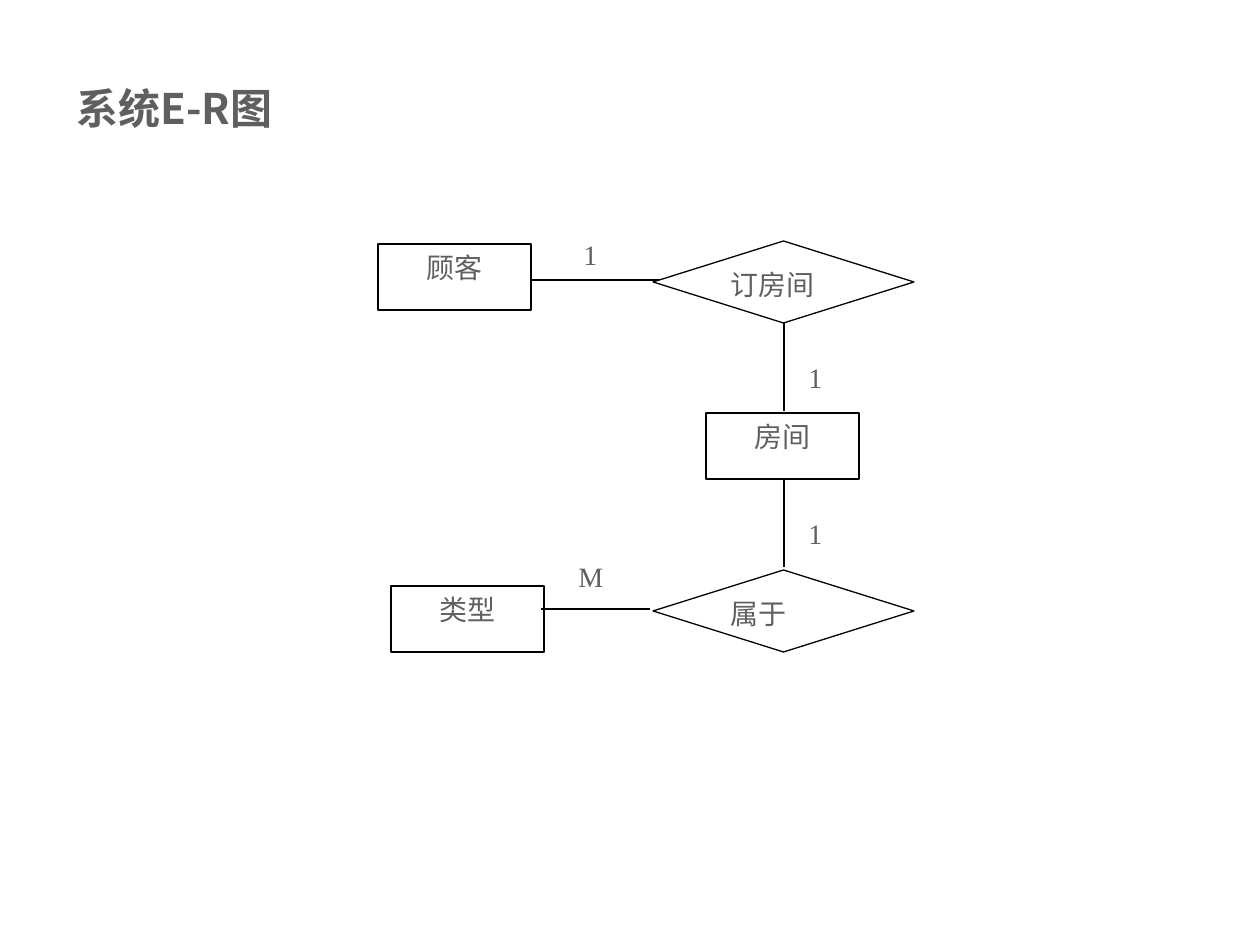
"""Build the hotel booking E-R diagram slide."""
import dataclasses

import pptx
import pptx.dml.color
import pptx.enum.shapes
import pptx.enum.text
import pptx.oxml
import pptx.oxml.ns
import pptx.util

SHAPE = pptx.enum.shapes.MSO_SHAPE
ALIGN = pptx.enum.text.PP_ALIGN
ANCHOR = pptx.enum.text.MSO_ANCHOR
GREY, BLACK, WHITE = "5F5F5F", "000000", "FFFFFF"
LATIN, HAN = "Times New Roman", "Noto Sans CJK SC"


@dataclasses.dataclass(frozen=True)
class Kind:
    form: int
    wide: int
    high: int
    align: int
    edge: bool = True


@dataclasses.dataclass(frozen=True)
class Node:
    kind: Kind
    text: str
    left: int
    top: int


@dataclasses.dataclass(frozen=True)
class Link:
    x1: int
    y1: int
    x2: int
    y2: int


ENTITY = Kind(SHAPE.RECTANGLE, 153, 66, ALIGN.CENTER)
BOND = Kind(SHAPE.DIAMOND, 261, 82, ALIGN.JUSTIFY)
LABEL = Kind(SHAPE.RECTANGLE, 66, 42, ALIGN.JUSTIFY, False)

BOXES = [
    Node(ENTITY, "顾客", 378, 244),
    Node(ENTITY, "房间", 706, 413),
    Node(ENTITY, "类型", 391, 586),
]
LINKS = [
    Link(530, 280, 660, 280),
    Link(784, 411, 784, 321),
    Link(784, 567, 784, 478),
    Link(541, 609, 650, 609),
]
BONDS = [
    Node(BOND, "订房间", 653, 241),
    Node(BOND, "属于", 653, 570),
]
LABELS = [
    Node(LABEL, "1", 571, 231),
    Node(LABEL, "1", 796, 354),
    Node(LABEL, "1", 796, 510),
    Node(LABEL, "M", 566, 553),
]


def px(size: int) -> int:
    return pptx.util.Inches(size / 126)


def tint(code: str) -> pptx.dml.color.RGBColor:
    return pptx.dml.color.RGBColor.from_string(code)


def write(frame, text: str, size: int, face: str, align: int, bold: bool = False) -> None:
    frame.text = text
    frame.word_wrap = True
    para = frame.paragraphs[0]
    para.alignment = align
    font = para.runs[0].font
    font.name, font.size, font.bold = face, pptx.util.Pt(size), bold
    font.color.rgb = tint(GREY)
    east = pptx.oxml.parse_xml(f'<a:ea {pptx.oxml.ns.nsdecls("a")} typeface="{HAN}"/>')
    props = para.runs[0]._r.get_or_add_rPr()
    props.find(pptx.oxml.ns.qn("a:latin")).addnext(east)


def stroke(line) -> None:
    line.color.rgb = tint(BLACK)
    line.width = pptx.util.Pt(0.75)


def draw_node(slide, node: Node) -> None:
    kind = node.kind
    shape = slide.shapes.add_shape(
        kind.form, px(node.left), px(node.top), px(kind.wide), px(kind.high))
    shape.shadow.inherit = False
    shape.fill.solid()
    shape.fill.fore_color.rgb = tint(WHITE)
    if kind.edge:
        stroke(shape.line)
    else:
        shape.line.fill.background()
    shape.text_frame.vertical_anchor = ANCHOR.TOP
    write(shape.text_frame, node.text, 16, LATIN, kind.align)


def draw_link(slide, link: Link) -> None:
    line = slide.shapes.add_connector(
        pptx.enum.shapes.MSO_CONNECTOR.STRAIGHT,
        px(link.x1), px(link.y1), px(link.x2), px(link.y2))
    stroke(line.line)
    bare = pptx.oxml.parse_xml(f'<a:effectLst {pptx.oxml.ns.nsdecls("a")}/>')
    line._element.spPr.append(bare)


def draw_title(slide, text: str) -> None:
    title = slide.shapes.title
    title.left, title.top, title.width, title.height = map(px, (64, 76, 495, 63))
    title.text_frame.auto_size = pptx.enum.text.MSO_AUTO_SIZE.NONE
    title.text_frame.vertical_anchor = ANCHOR.MIDDLE
    write(title.text_frame, text, 24, HAN, ALIGN.LEFT, True)


def main() -> None:
    deck = pptx.Presentation()
    deck.slide_width, deck.slide_height = px(1260), px(945)
    slide = deck.slides.add_slide(deck.slide_layouts[5])
    draw_title(slide, "系统E-R图")
    for node in BOXES:
        draw_node(slide, node)
    for link in LINKS:
        draw_link(slide, link)
    for node in BONDS + LABELS:
        draw_node(slide, node)
    deck.save("out.pptx")


if __name__ == "__main__":
    main()
